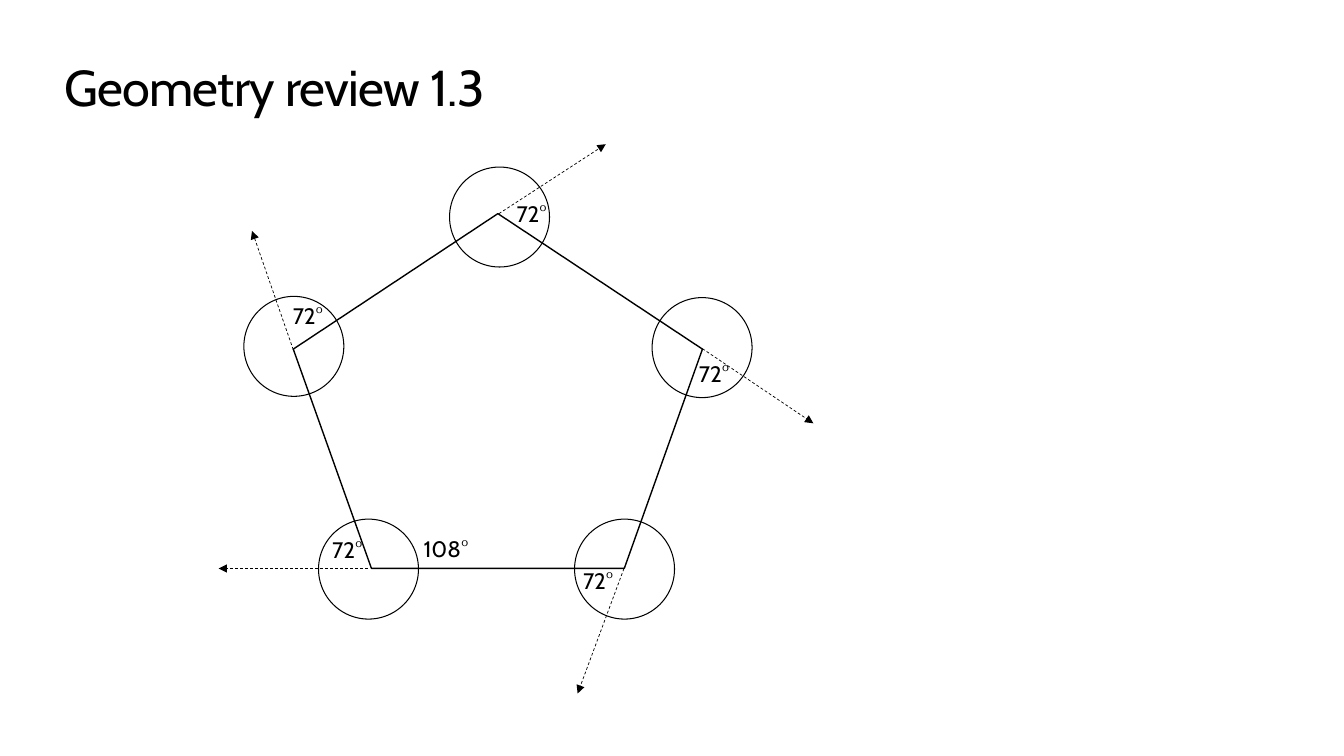
import pptx
import pptx.util
import pptx.dml.color
import pptx.enum.dml
import pptx.enum.shapes
import pptx.enum.text
import pptx.oxml.ns
import lxml.etree
from dataclasses import dataclass

Pt = pptx.util.Pt
Kind = pptx.enum.shapes.MSO_SHAPE


@dataclass
class Theme:
    ink: pptx.dml.color.RGBColor = pptx.dml.color.RGBColor(0, 0, 0)
    font: str = "Cabin"
    title: int = 36
    label: int = 16


theme = Theme()
deck = pptx.Presentation()
deck.slide_width, deck.slide_height = Pt(960), Pt(540)
slide = deck.slides.add_slide(deck.slide_layouts[6])
shapes = slide.shapes


def outline(kind, x, y, wide, high, weight):
    shape = shapes.add_shape(kind, Pt(x), Pt(y), Pt(wide), Pt(high))
    shape.shadow.inherit = False
    shape.fill.background()
    shape.line.color.rgb = theme.ink
    shape.line.width = Pt(weight)


def write(text, x, y, wide, high, size):
    box = shapes.add_textbox(Pt(x), Pt(y), Pt(wide), Pt(high))
    frame = box.text_frame
    frame.text = text
    frame.auto_size = pptx.enum.text.MSO_AUTO_SIZE.SHAPE_TO_FIT_TEXT
    font = frame.paragraphs[0].runs[0].font
    font.name, font.size = theme.font, Pt(size)
    font.color.rgb = theme.ink
    return frame


head = write("Geometry review 1.3", 46, 40.3, 867.6, 43.9, theme.title)
head.word_wrap = True
head.margin_left = head.margin_right = head.margin_top = head.margin_bottom = 0
head.paragraphs[0].runs[0].font._element.set("spc", "-50")

rays = [
    (501.8, 249.1, 581, 302.4),
    (262.8, 406.1, 156.2, 406.1),
    (445.7, 406.1, 412.6, 495.4),
    (209.5, 249.8, 180, 164.9),
    (356.4, 152.6, 432.7, 103),
]
for ray in rays:
    line = shapes.add_connector(
        pptx.enum.shapes.MSO_CONNECTOR.STRAIGHT, *map(Pt, ray))
    line.line.color.rgb = theme.ink
    line.line.width = Pt(0.5)
    line.line.dash_style = pptx.enum.dml.MSO_LINE.DASH
    stroke = line.line._get_or_add_ln()
    tip = lxml.etree.SubElement(stroke, pptx.oxml.ns.qn("a:tailEnd"))
    tip.set("type", "triangle")
    props = line._element.spPr
    lxml.etree.SubElement(props, pptx.oxml.ns.qn("a:effectLst"))

outline(Kind.REGULAR_PENTAGON, 209.5, 152.6, 292.3, 253.4, 1)

rings = [(227.5, 370.8), (410.4, 370.8), (465.8, 212.6),
         (321.1, 119.3), (174.2, 211.7)]
for x, y in rings:
    outline(Kind.OVAL, x, y, 71.4, 71.4, 0.75)

labels = [
    ("72°", 229, 379.4, 38.2),
    ("72°", 200.9, 212.4, 38.2),
    ("72°", 360.7, 139.7, 38.2),
    ("72°", 491, 253.4, 38.2),
    ("72°", 408.2, 401.8, 38.2),
    ("108°", 295.2, 378.7, 46.8),
]
for text, x, y, wide in labels:
    frame = write(text, x, y, wide, 26.6, theme.label)
    frame.word_wrap = False
    frame.paragraphs[0].alignment = pptx.enum.text.PP_ALIGN.CENTER

deck.save("out.pptx")
